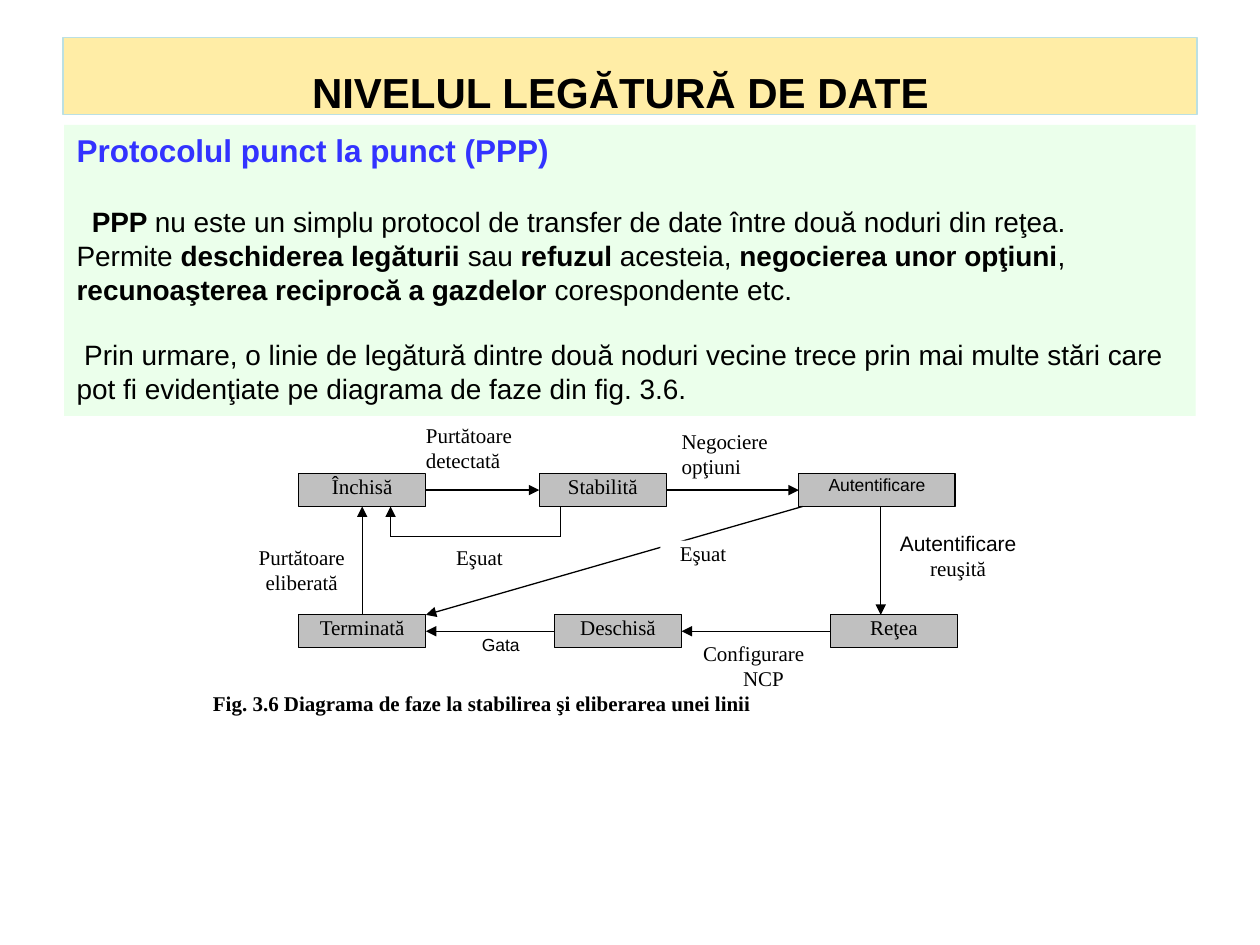
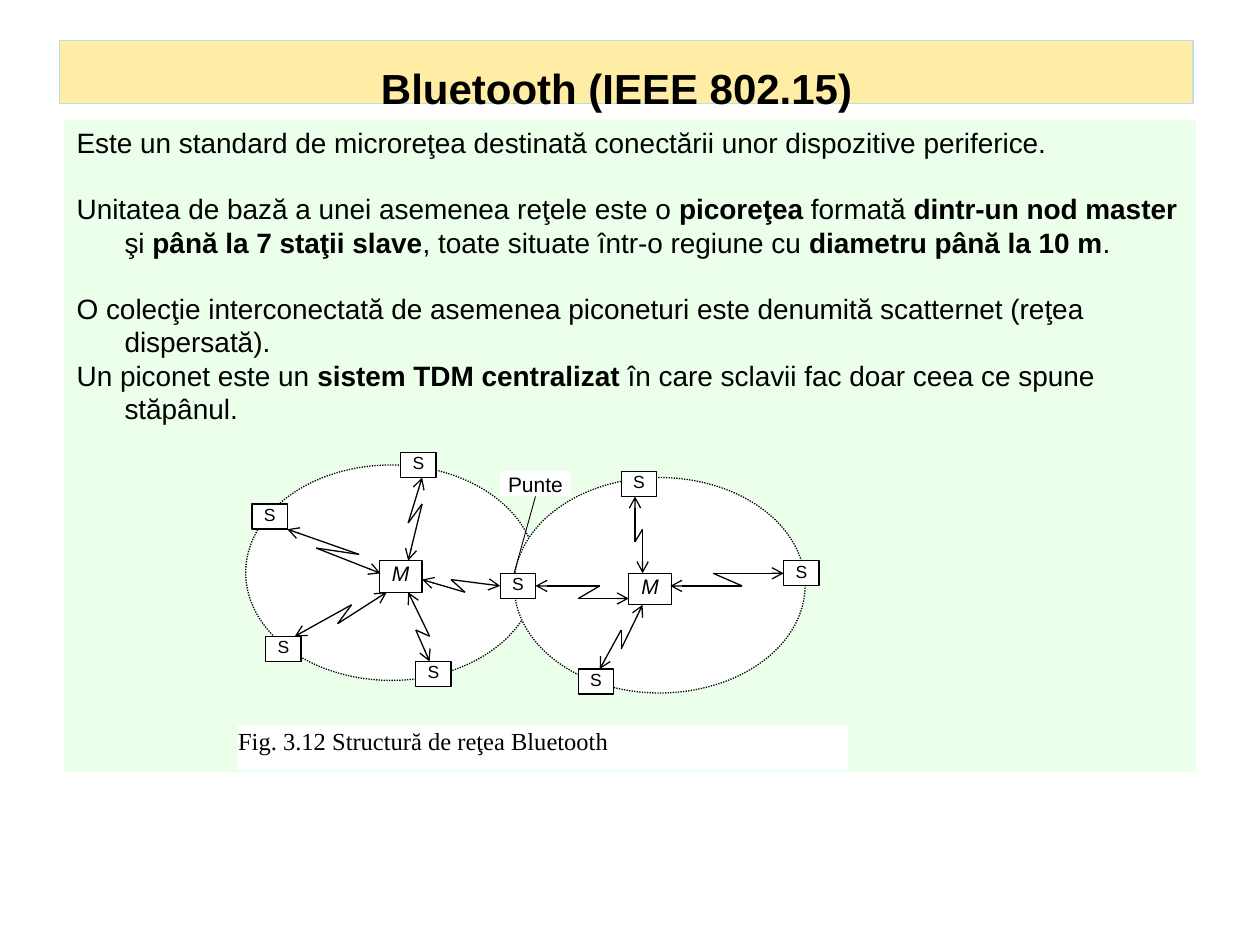
from dataclasses import dataclass
from itertools import pairwise
from typing import Any

from lxml import etree
from pptx import Presentation
from pptx import util as u
from pptx.dml import color as dml
from pptx.enum import dml as dash
from pptx.enum import shapes, text
from pptx.oxml import ns

COLORS = {
    "ink": "000000", "paper": "FFFFFF", "state": "C0C0C0", "heading": "3333FF",
    "title": "FFCC00", "title_edge": "BBE0E3", "body": "CCFFCC",
}
SANS, SERIF = "Arial", "Times New Roman"
LEFT, CENTER = text.PP_ALIGN.LEFT, text.PP_ALIGN.CENTER
WIDTH, HEIGHT = u.Inches(10), u.Inches(7.5)
COLUMN, ROW = WIDTH / 100, HEIGHT / 75
SNAP = u.Inches(0.02)
LINE_GAP = 1.15

Point = tuple[float, float]


@dataclass(frozen=True)
class Para:
    words: str
    size: float = 16
    font: str = SANS
    color: str = "ink"
    align: Any = LEFT
    bold: bool = False
    italic: bool = False
    before: float = 0
    margin: float = 0
    indent: float = 0


@dataclass(frozen=True)
class Box:
    column: float
    row: float
    columns: float
    rows: float
    paras: tuple[Para, ...] = ()
    fill: str = "paper"
    opacity: int = 100
    edge: str | None = None
    insets: tuple[float, float, float, float] = (0, 0, 0, 0)
    anchor: Any = text.MSO_ANCHOR.TOP
    kind: Any = shapes.MSO_SHAPE.RECTANGLE
    dotted: bool = False


@dataclass(frozen=True)
class Link:
    points: tuple[Point, ...]
    head: str | None = None
    tail: str | None = None
    weight: float = 0.75


def apply(target: Any, values: dict[str, Any]) -> None:
    for name, value in values.items():
        setattr(target, name, value)


def rgb(name: str) -> dml.RGBColor:
    return dml.RGBColor.from_string(COLORS[name])


def across(columns: float) -> int:
    return round(columns * COLUMN)


def down(rows: float) -> int:
    return round(rows * ROW)


def write_para(para: Any, model: Para) -> None:
    properties = para._p.get_or_add_pPr()
    properties.set("marL", str(across(model.margin)))
    properties.set("indent", str(across(model.indent)))
    apply(para, {"alignment": model.align, "space_before": u.Pt(model.before)})
    for index, words in enumerate(model.words.split("**")):
        if words:
            span = para.add_run()
            span.text = words
            apply(span.font, {
                "name": model.font, "size": u.Pt(model.size),
                "bold": model.bold or index % 2 == 1, "italic": model.italic,
            })
            span.font.color.rgb = rgb(model.color)


def draw_box(page: Any, model: Box) -> Any:
    box = page.shapes.add_shape(
        model.kind, across(model.column), down(model.row),
        across(model.columns), down(model.rows))
    box.shadow.inherit = False
    box.fill.solid()
    box.fill.fore_color.rgb = rgb(model.fill)
    if model.opacity < 100:
        tint = box._element.spPr.find(".//" + ns.qn("a:srgbClr"))
        etree.SubElement(tint, ns.qn("a:alpha"), val=str(model.opacity * 1000))
    if model.edge:
        box.line.color.rgb = rgb(model.edge)
        box.line.width = u.Pt(0.75)
        if model.dotted:
            box.line.dash_style = dash.MSO_LINE.ROUND_DOT
    else:
        box.line.fill.background()
    frame = box.text_frame
    sides = ("margin_left", "margin_top", "margin_right", "margin_bottom")
    margins = {side: across(inset) for side, inset in zip(sides, model.insets)}
    apply(frame, {"word_wrap": True, "vertical_anchor": model.anchor, **margins})
    for index, para in enumerate(model.paras):
        write_para(frame.add_paragraph() if index else frame.paragraphs[0], para)
    return box


def find_site(boxes: list[Any], x: int, y: int) -> tuple[Any, int] | None:
    for box in boxes:
        middle, center = box.left + box.width / 2, box.top + box.height / 2
        sites = ((middle, box.top), (box.left, center),
                 (middle, box.top + box.height), (box.left + box.width, center))
        for side, (site_x, site_y) in enumerate(sites):
            if abs(site_x - x) <= SNAP and abs(site_y - y) <= SNAP:
                return box, side
    return None


def draw_link(page: Any, link: Link, boxes: list[Any]) -> None:
    last = len(link.points) - 2
    for index, (start, end) in enumerate(pairwise(link.points)):
        ends = [(across(x), down(y)) for x, y in (start, end)]
        line = page.shapes.add_connector(shapes.MSO_CONNECTOR.STRAIGHT, *ends[0], *ends[1])
        line.line.color.rgb = rgb("ink")
        line.line.width = u.Pt(link.weight)
        stroke = line.line._get_or_add_ln()
        if link.head and index == 0:
            etree.SubElement(stroke, ns.qn("a:headEnd"), type=link.head)
        if link.tail and index == last:
            etree.SubElement(stroke, ns.qn("a:tailEnd"), type=link.tail)
        etree.SubElement(line._element.spPr, ns.qn("a:effectLst"))
        for join, point in zip((line.begin_connect, line.end_connect), ends):
            site = find_site(boxes, *point)
            if site:
                join(*site)


def add_page(deck: Any, title: str, band: tuple[float, float, float],
             body: tuple[float, float], paras: tuple[Para, ...]) -> Any:
    page = deck.slides.add_slide(deck.slide_layouts[6])
    column, row, rows = band
    draw_box(page, Box(
        column, row, 90, rows, (Para(title, 24, align=CENTER, bold=True),),
        "title", 35, "title_edge", (1, 2.5, 2.5, 0), text.MSO_ANCHOR.MIDDLE))
    draw_box(page, Box(5.1, body[0], 89.8, body[1], paras, "body", 39,
                       insets=(1, 0.5, 1, 0.5)))
    return page


def state(column: float, row: float, words: str, columns: float = 10.1,
          size: float = 12, font: str = SERIF) -> Box:
    return Box(column, row, columns, 2.6, (Para(words, size, font, align=CENTER),),
               "state", edge="ink", insets=(0.2, 0, 0.2, 0))


def label(column: float, row: float, columns: float, rows: float, *lines: str,
          size: float = 12, font: str = SERIF, align: Any = CENTER, bold: bool = False) -> Box:
    return Box(column, row, columns, rows,
               tuple(Para(line, size, font, align=align, bold=bold) for line in lines))


def station(column: float, row: float) -> Box:
    return Box(column, row, 2.8, 2, (Para("S", 10, align=CENTER),), edge="ink")


def master(column: float, row: float) -> Box:
    return Box(column, row, 3.4, 2.5, (Para("M", 12, align=CENTER, italic=True),), edge="ink")


def piconet(column: float, row: float) -> Box:
    return Box(column, row, 23.1, 17.1, edge="ink", kind=shapes.MSO_SHAPE.OVAL, dotted=True)


def build_phases(deck: Any) -> None:
    page = add_page(deck, "NIVELUL LEGĂTURĂ DE DATE", (5, 3, 6.1), (9.9, 23.1), (
        Para("Protocolul punct la punct (PPP)", 18, color="heading", bold=True),
        Para("**PPP **nu este un simplu protocol de transfer de date între două noduri "
             "din reţea.", before=18 * LINE_GAP, indent=1.2),
        Para("Permite **deschiderea legăturii** sau **refuzul** acesteia, **negocierea unor "
             "opţiuni**, **recunoaşterea reciprocă a gazdelor** corespondente etc."),
        Para("Prin urmare, o linie de legătură dintre două noduri vecine trece prin mai multe "
             "stări care pot fi evidenţiate pe diagrama de faze din fig. 3.6.",
             before=16 * LINE_GAP, indent=0.6),
    ))
    top, bottom = 37.6, 48.8
    states = (
        state(23.7, top, "Închisă"),
        state(42.8, top, "Stabilită"),
        state(63.4, top, "Autentificare", 12.4, 10, SANS),
        state(23.7, bottom, "Terminată"),
        state(44, bottom, "Deschisă"),
        state(65.9, bottom, "Reţea"),
    )
    boxes = [draw_box(page, model) for model in states]
    upper, lower, under = top + 1.3, bottom + 1.3, top + 2.6
    routes = (
        ((33.8, upper), (42.8, upper)),
        ((52.9, upper), (63.4, upper)),
        ((69.9, under), (69.9, bottom)),
        ((28.75, bottom), (28.75, under)),
        ((44.5, under), (44.5, 42.6), (31, 42.6), (31, under)),
        ((63.7, under), (33.8, bottom)),
        ((65.9, lower), (54.1, lower)),
        ((44, lower), (33.8, lower)),
    )
    for route in routes:
        draw_link(page, Link(route, tail="triangle"), boxes)
    labels = (
        label(33.8, 33.5, 8.5, 4.1, "Purtătoare detectată", align=LEFT),
        label(54.1, 34, 8.5, 3.6, "Negociere opţiuni", align=LEFT),
        label(19.7, 43.2, 8.5, 4.1, "Purtătoare eliberată"),
        label(34.4, 43.2, 7.3, 2.5, "Eşuat"),
        label(52.4, 42.9, 6.8, 2, "Eşuat"),
        label(36.1, 50.3, 7.3, 2, "Gata", size=10, font=SANS),
        Box(55.8, 50.8, 9.6, 4.1, (Para("Configurare", 12, SERIF),
                                   Para("NCP", 12, SERIF, align=CENTER))),
        Box(70.4, 42.1, 11.3, 4.1, (Para("Autentificare", 12, align=CENTER),
                                    Para("reuşită", 12, SERIF, align=CENTER))),
        label(16.9, 54.8, 73.2, 3.1,
              "Fig. 3.6 Diagrama de faze la stabilirea şi eliberarea unei linii",
              align=LEFT, bold=True),
    )
    for model in labels:
        draw_box(page, model)


def build_scatternet(deck: Any) -> None:
    hang = {"margin": 3.8, "indent": -3.8}
    gap = 16 * LINE_GAP
    page = add_page(deck, "Bluetooth (IEEE 802.15)", (4.7, 3.2, 5), (9.5, 51.8), (
        Para("Este un standard de microreţea destinată conectării unor dispozitive periferice.",
             **hang),
        Para("Unitatea de bază a unei asemenea reţele este o **picoreţea** formată **dintr-un nod "
             "master** şi **până la 7 staţii slave**, toate situate într-o regiune cu "
             "**diametru până la 10 m**.", before=gap, **hang),
        Para("O colecţie interconectată de asemenea piconeturi este denumită scatternet "
             "(reţea dispersată).", before=gap, **hang),
        Para("Un piconet este un **sistem TDM centralizat** în care sclavii fac doar ceea ce "
             "spune stăpânul.", **hang),
    ))
    for place in ((19.5, 36.9), (40.8, 37.9)):
        draw_box(page, piconet(*place))
    stations = ((31.8, 35.9), (20, 40), (33, 52.5), (39.7, 45.5),
                (45.9, 53.1), (49.3, 37.4), (21.1, 50.5), (62.2, 44.5))
    masters = ((30.1, 44.5), (49.9, 45.5))
    nodes = [station(*place) for place in stations] + [master(*place) for place in masters]
    nodes.append(label(39.7, 37.4, 5.6, 2, "Punte", font=SANS))
    boxes = [draw_box(page, model) for model in nodes]
    bolts = (
        ((30.2, 45.5), (25.1, 43.5), (28.5, 44), (22.8, 42)),
        ((30.7, 47), (26.8, 49.5), (27.9, 48), (23.4, 50.5)),
        ((32.4, 44.5), (33.5, 40), (32.4, 41.5), (33.5, 37.9)),
        ((33.5, 46), (36.9, 47), (35.8, 46), (39.7, 46.5)),
        ((32.4, 47), (34.1, 50.5), (33, 50), (34.1, 52.5)),
        ((51, 45.5), (51, 42), (50.4, 43), (50.4, 39.4)),
        ((53.2, 46.5), (58.9, 46.5), (56.6, 45.5), (62.2, 45.5)),
        ((49.9, 47.5), (45.9, 47.5), (47.6, 46.5), (42.5, 46.5)),
        ((51, 48), (49.3, 51.5), (49.3, 50), (47.6, 53.1)),
    )
    for bolt in bolts:
        draw_link(page, Link(bolt, "arrow", "arrow"), boxes)
    draw_link(page, Link(((42.5, 39.4), (40.8, 45.5)), weight=0.5), boxes)
    draw_box(page, label(18.9, 57.6, 48.4, 3.5, "Fig. 3.12 Structură de reţea Bluetooth",
                         size=14, align=LEFT))


def main() -> None:
    deck = Presentation()
    apply(deck, {"slide_width": WIDTH, "slide_height": HEIGHT})
    build_phases(deck)
    build_scatternet(deck)
    deck.save("out.pptx")


if __name__ == "__main__":
    main()
